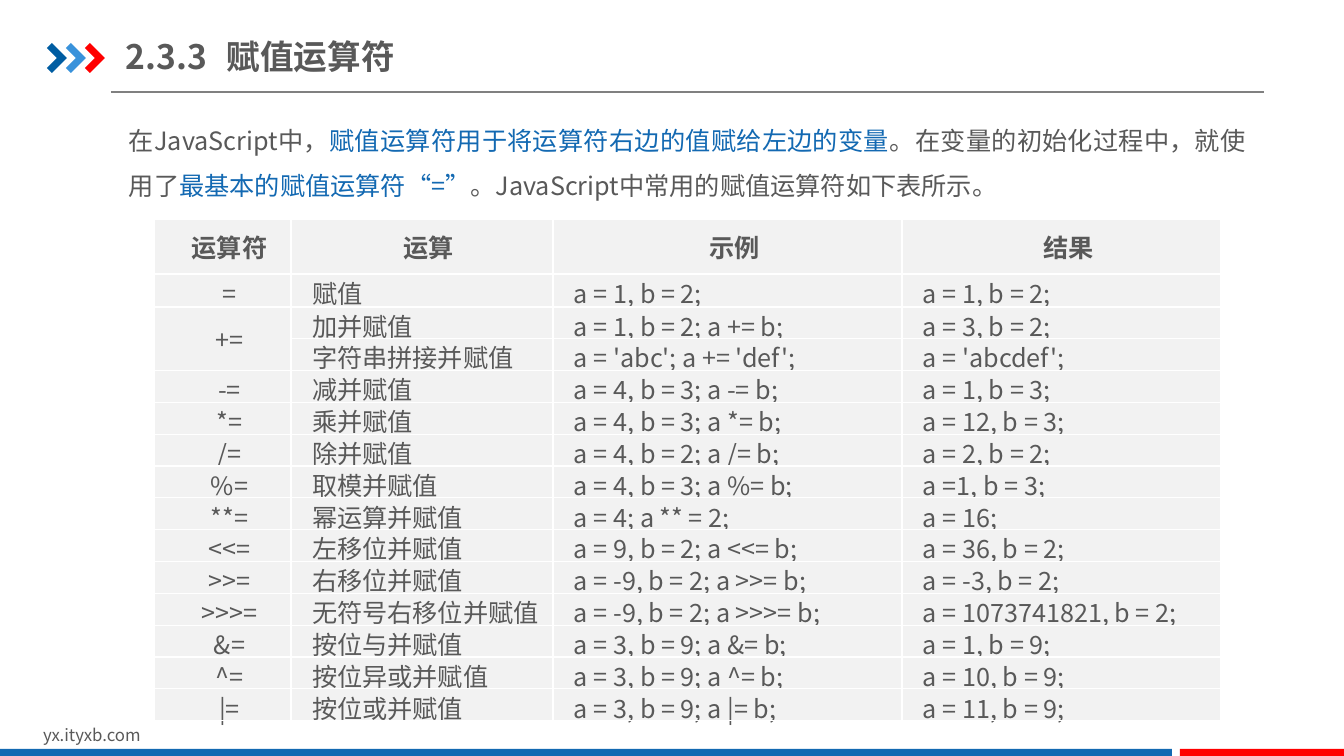
from dataclasses import dataclass

from lxml import etree
from pptx import Presentation
from pptx.dml.color import RGBColor
from pptx.enum.shapes import MSO_CONNECTOR, MSO_SHAPE
from pptx.enum.text import MSO_ANCHOR, PP_ALIGN
from pptx.oxml.ns import qn
from pptx.util import Emu, Pt

STRAIGHT = MSO_CONNECTOR.STRAIGHT
RECTANGLE = MSO_SHAPE.RECTANGLE
TOP, MIDDLE = MSO_ANCHOR.TOP, MSO_ANCHOR.MIDDLE
LEFT, CENTER, JUSTIFY = PP_ALIGN.LEFT, PP_ALIGN.CENTER, PP_ALIGN.JUSTIFY
PAGE_WIDTH, PAGE_HEIGHT = 1344, 756
SCALE = 12192000 / PAGE_WIDTH


@dataclass(frozen=True)
class Theme:
    font: str = "Noto Sans CJK SC"
    text: str = "595959"
    accent: str = "1369B2"
    red: str = "FF0000"
    rule: str = "808080"
    cell: str = "F2F2F2"
    border: str = "FFFFFF"
    chevrons: tuple = ("005DA2", "3992DB", "FF0000")
    title_size: int = 24
    body_size: int = 18
    footer_size: int = 12


THEME = Theme()

INTRO = [
    ("在JavaScript中，", THEME.text),
    ("赋值运算符用于将运算符右边的值赋给左边的变量", THEME.accent),
    ("。在变量的初始化过程中，就使用了", THEME.text),
    ("最基本的赋值运算符“=”", THEME.accent),
    ("。JavaScript中常用的赋值运算符如下表所示。", THEME.text),
]

OPERATORS = [
    ("运算符", "运算", "示例", "结果"),
    ("=", "赋值", "a = 1, b = 2;", "a = 1, b = 2;"),
    ("+=", "加并赋值", "a = 1, b = 2; a += b;", "a = 3, b = 2;"),
    ("", "字符串拼接并赋值", "a = 'abc'; a += 'def';", "a = 'abcdef';"),
    ("-=", "减并赋值", "a = 4, b = 3; a -= b;", "a = 1, b = 3;"),
    ("*=", "乘并赋值", "a = 4, b = 3; a *= b;", "a = 12, b = 3;"),
    ("/=", "除并赋值", "a = 4, b = 2; a /= b;", "a = 2, b = 2;"),
    ("%=", "取模并赋值", "a = 4, b = 3; a %= b;", "a =1, b = 3;"),
    ("**=", "幂运算并赋值", "a = 4; a ** = 2;", "a = 16;"),
    ("<<=", "左移位并赋值", "a = 9, b = 2; a <<= b;", "a = 36, b = 2;"),
    (">>=", "右移位并赋值", "a = -9, b = 2; a >>= b;", "a = -3, b = 2;"),
    (">>>=", "无符号右移位并赋值", "a = -9, b = 2; a >>>= b;", "a = 1073741821, b = 2;"),
    ("&=", "按位与并赋值", "a = 3, b = 9; a &= b;", "a = 1, b = 9;"),
    ("^=", "按位异或并赋值", "a = 3, b = 9; a ^= b;", "a = 10, b = 9;"),
    ("|=", "按位或并赋值", "a = 3, b = 9; a |= b;", "a = 11, b = 9;"),
]


def px(length):
    return Emu(round(length * SCALE))


def color(value):
    return RGBColor.from_string(value)


def fill_shape(shape, value):
    shape.shadow.inherit = False
    shape.fill.solid()
    shape.fill.fore_color.rgb = color(value)
    shape.line.fill.background()


def style_paragraph(para, size, bold=False, align=LEFT):
    para.alignment = align
    para.font.size = Pt(size)
    para.font.bold = bold
    para.font.color.rgb = color(THEME.text)
    para.font.name = THEME.font
    defaults = para._p.pPr.find(qn("a:defRPr"))
    etree.SubElement(defaults, qn("a:ea"), typeface=THEME.font)


def set_margins(holder, horizontal, vertical):
    holder.margin_left = holder.margin_right = px(horizontal)
    holder.margin_top = holder.margin_bottom = px(vertical)


def add_text(page, box, spans, size, margins, bold=False, align=LEFT, anchor=TOP):
    frame = page.shapes.add_textbox(*map(px, box)).text_frame
    frame.word_wrap = True
    frame.vertical_anchor = anchor
    set_margins(frame, *margins)
    para = frame.paragraphs[0]
    for text, value in spans:
        span = para.add_run()
        span.text = text
        if value != THEME.text:
            span.font.color.rgb = color(value)
    style_paragraph(para, size, bold, align)
    return para


def add_chevrons(page, box):
    left, top, width, height = box
    arm, pitch = 5, 19
    middle = height // 2
    outline = [(arm, 0), (width, middle), (arm, height),
               (0, height - arm), (width - 2 * arm, middle)]
    for index, value in enumerate(THEME.chevrons):
        builder = page.shapes.build_freeform(0, arm, scale=SCALE)
        builder.add_line_segments(outline, close=True)
        chevron = builder.convert_to_shape(px(left + index * pitch), px(top))
        fill_shape(chevron, value)


def add_header(page, box):
    left, top, width, height = box
    add_chevrons(page, (left, top + 14, 20, 30))
    bottom = px(top + height)
    rule = page.shapes.add_connector(STRAIGHT, px(left + 64), bottom, px(left + width), bottom)
    rule.line.color.rgb = color(THEME.rule)
    rule.line.width = Pt(0.75)
    etree.SubElement(rule._element.spPr, qn("a:effectLst"))
    add_text(page, (left + 79, top, 282, 55), [("2.3.3\t赋值运算符", THEME.text)],
             THEME.title_size, (0, 7), bold=True, anchor=MIDDLE)


def add_intro(page, box):
    para = add_text(page, box, INTRO, THEME.body_size, (13, 7), align=JUSTIFY)
    para.line_spacing = 1.5


def style_cell(cell, anchor):
    properties = cell._tc.get_or_add_tcPr()
    for side in ("lnL", "lnR", "lnT", "lnB"):
        line = etree.SubElement(properties, qn(f"a:{side}"), w=str(Pt(1)))
        paint = etree.SubElement(line, qn("a:solidFill"))
        etree.SubElement(paint, qn("a:srgbClr"), val=THEME.border)
    cell.fill.solid()
    cell.fill.fore_color.rgb = color(THEME.cell)
    cell.vertical_anchor = anchor
    set_margins(cell, 7, 0)


def add_operator_table(page, box):
    widths = (137, 262, 349, 319)
    header, first = 55, 33
    shared = (box[3] - header - first) / (len(OPERATORS) - 2)
    heights = [header, first] + [shared] * (len(OPERATORS) - 2)
    table = page.shapes.add_table(len(OPERATORS), len(widths), *map(px, box)).table
    table.first_row = table.horz_banding = False
    for column, width in zip(table.columns, widths):
        column.width = px(width)
    for row_index, values in enumerate(OPERATORS):
        table.rows[row_index].height = px(heights[row_index])
        for column_index, text in enumerate(values):
            cell = table.cell(row_index, column_index)
            is_header = row_index == 0
            style_cell(cell, MIDDLE if row_index < 2 or column_index < 2 else TOP)
            para = cell.text_frame.paragraphs[0]
            para.text = text
            style_paragraph(para, THEME.body_size, is_header,
                            CENTER if is_header or column_index == 0 else LEFT)
            properties = para._p.pPr
            properties.set("marL", "0")
            properties.set("indent", str(px(14)))
    table.cell(2, 0).merge(table.cell(3, 0))


def add_footer(page, box):
    left, top, width, height = box
    add_text(page, (left + 33, top, 321, 30), [("yx.ityxb.com", THEME.text)],
             THEME.footer_size, (10, 5))
    blue_width, gap, thickness = 1172, 8, 7
    red_left = blue_width + gap
    for offset, length, value in ((0, blue_width, THEME.accent),
                                  (red_left, width - red_left, THEME.red)):
        bar = page.shapes.add_shape(RECTANGLE, px(left + offset), px(top + height - thickness),
                                    px(length), px(thickness))
        fill_shape(bar, value)


def main():
    deck = Presentation()
    deck.slide_width, deck.slide_height = px(PAGE_WIDTH), px(PAGE_HEIGHT)
    page = deck.slides.add_slide(deck.slide_layouts[6])
    add_header(page, (47, 29, 1217, 63))
    add_footer(page, (0, 720, PAGE_WIDTH, 36))
    add_intro(page, (116, 103, 1143, 105))
    add_operator_table(page, (154, 219, 1067, 502))
    deck.save("out.pptx")


if __name__ == "__main__":
    main()
